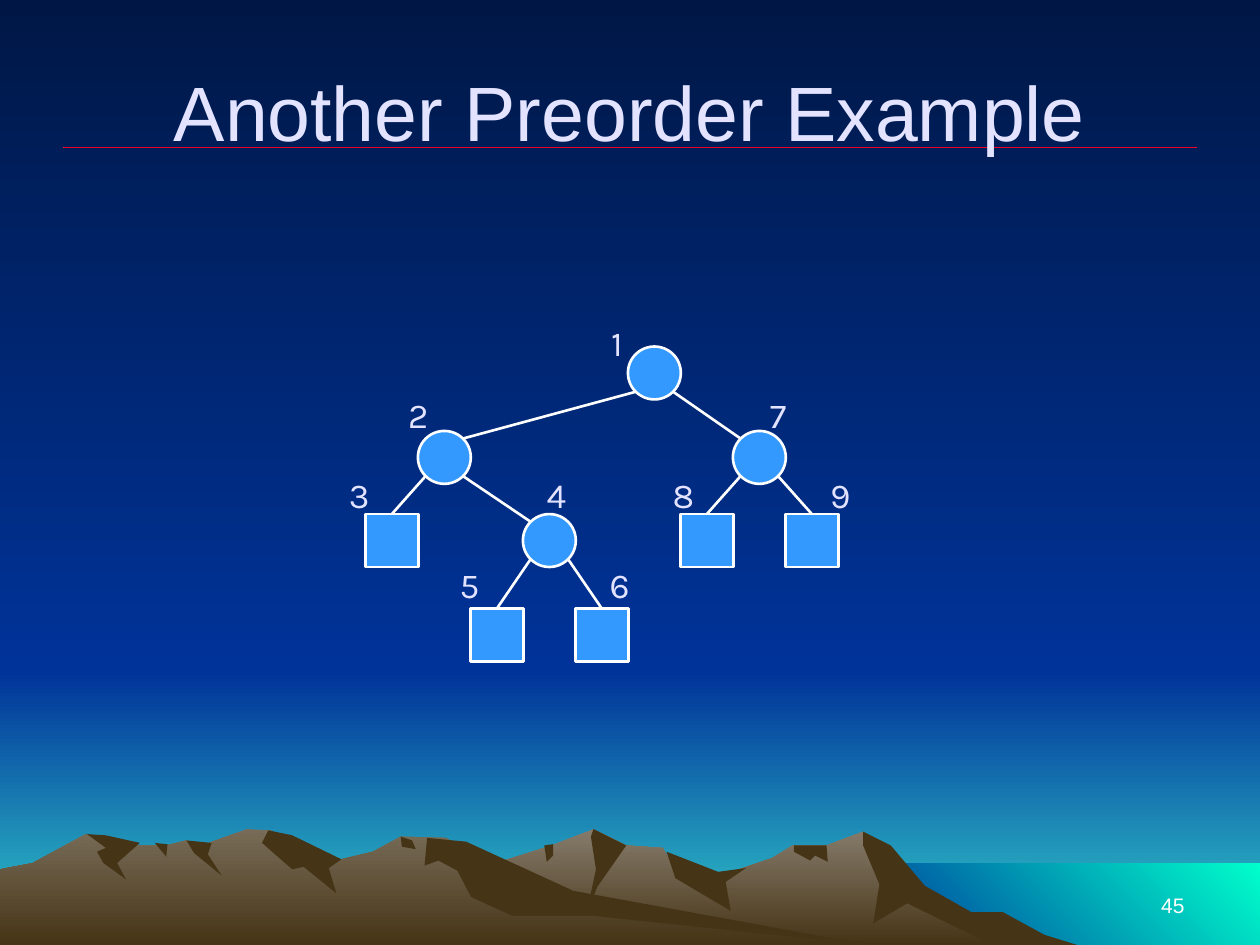
from lxml.etree import SubElement
from pptx import Presentation
from pptx.dml.color import RGBColor
from pptx.enum.shapes import MSO_CONNECTOR, MSO_SHAPE
from pptx.enum.text import MSO_ANCHOR, PP_ALIGN
from pptx.oxml.ns import qn
from pptx.util import Inches, Pt

NIGHT = RGBColor(0x00, 0x17, 0x46)
BLUE = RGBColor(0x00, 0x33, 0x99)
HORIZON = RGBColor(0x33, 0xCC, 0xCC)
AQUA = RGBColor(0x00, 0xFF, 0xCC)
BROWN = RGBColor(0x46, 0x34, 0x16)
FAR_ROCK = RGBColor(0x86, 0x7B, 0x6B)
NEAR_ROCK = RGBColor(0x78, 0x6C, 0x58)
RED = RGBColor(0xEF, 0x01, 0x29)
NODE_BLUE = RGBColor(0x33, 0x99, 0xFF)
WHITE = RGBColor(0xFF, 0xFF, 0xFF)
LAVENDER = RGBColor(0xE3, 0xE3, 0xFF)

TITLE = "Another Preorder Example"
PAGE_NUMBER = "45"
WIDTH, HEIGHT = 10, 7.5
SKYLINE, SHORE_LEFT, SHORE_TOP = 5.33, 6.83, 6.85
DOWN, UP_RIGHT = 270, 45

FAR_RIDGE = [
    (2.58, 7.5), (3.27, 7.09), (3.94, 6.85), (4.38, 6.71), (4.71, 6.58), (4.97, 6.71),
    (5.26, 6.73), (5.36, 6.9), (5.66, 6.97), (6.13, 6.81), (6.29, 6.71), (6.56, 6.71),
    (6.85, 6.6), (7.02, 6.71), (7.23, 6.98), (7.7, 7.24), (8.2, 7.5)]
FAR_SHADOWS = [
    [(6.85, 6.6), (7.07, 6.71), (7.34, 7.03), (7.71, 7.24), (7.96, 7.24), (8.29, 7.42),
     (8.55, 7.5), (7.88, 7.5), (7.2, 7.17), (6.93, 7.33), (6.98, 7.02), (6.85, 6.71)],
    [(4.71, 6.58), (4.97, 6.71), (4.74, 7.04), (4.65, 7.27), (4.73, 6.9), (4.69, 6.64)],
    [(5.29, 6.76), (5.7, 6.92), (5.92, 6.89), (5.76, 7), (5.8, 7.23), (5.36, 6.97)],
    [(6.3, 6.71), (6.56, 6.71), (6.57, 6.84), (6.47, 6.79), (6.43, 6.83), (6.3, 6.76)],
    [(4.32, 6.71), (4.39, 6.7), (4.39, 6.79), (4.34, 6.84)]]
NEAR_RIDGE = [
    (0, 7.5), (0, 6.9), (0.26, 6.85), (0.68, 6.62), (0.94, 6.71), (1.32, 6.71),
    (1.48, 6.67), (1.6, 6.71), (1.96, 6.58), (2.15, 6.59), (2.36, 6.81), (2.71, 6.82),
    (2.96, 6.76), (3.18, 6.64), (3.54, 6.65), (4.32, 7.12), (6.9, 7.5)]
NEAR_SHADOWS = [
    [(2.13, 6.59), (2.32, 6.63), (2.71, 6.82), (2.61, 6.89), (2.67, 7.09), (2.41, 6.88),
     (2.32, 6.9), (2.08, 6.69)],
    [(3.39, 6.65), (3.7, 6.68), (4.55, 7.07), (6.9, 7.5), (4.72, 7.27), (4.07, 7.27),
     (3.74, 7.12), (3.63, 6.91), (3.48, 6.83), (3.37, 6.87)],
    [(3.18, 6.64), (3.27, 6.67), (3.3, 6.74), (3.19, 6.72)],
    [(1.48, 6.67), (1.68, 6.69), (1.65, 6.78), (1.76, 6.95), (1.54, 6.77)],
    [(1.23, 6.69), (1.33, 6.7), (1.32, 6.8)],
    [(0.69, 6.62), (0.84, 6.63), (1.11, 6.69), (0.93, 6.85), (1, 6.98), (0.82, 6.85),
     (0.77, 6.76), (0.84, 6.73)]]

ROOT = "1"
CHILDREN = {"1": "27", "2": "34", "4": "56", "7": "89"}
LABEL_LEFTS = {"1": 4.72, "2": 3.14, "3": 2.67, "4": 4.24, "5": 3.55,
               "6": 4.74, "7": 6, "8": 5.24, "9": 6.49}
NODE_TOPS = [2.75, 3.42, 4.08, 4.83]
LABEL_TOPS = [2.5, 3.07, 3.71, 4.42]
FIRST_LEFT, COLUMN_STEP, NODE_SIZE = 2.9, 5 / 12, 0.42
REACH = 0.15


def rectangle(left, top, right, bottom):
    return [(left, top), (right, top), (right, bottom), (left, bottom)]


def paint_gradient(fill, start, end, angle):
    fill.gradient()
    fill.gradient_angle = angle
    for stop, color in zip(fill.gradient_stops, (start, end)):
        stop.color.rgb = color


def add_outline(page, points, start, end=None, angle=DOWN):
    hundredths = [(round(x * 100), round(y * 100)) for x, y in points]
    builder = page.shapes.build_freeform(*hundredths[0], scale=Inches(0.01))
    builder.add_line_segments(hundredths[1:], close=True)
    shape = builder.convert_to_shape()
    shape.shadow.inherit = False
    shape.line.fill.background()
    if end is None:
        shape.fill.solid()
        shape.fill.fore_color.rgb = start
    else:
        paint_gradient(shape.fill, start, end, angle)


def add_scenery(page):
    add_outline(page, rectangle(0, SKYLINE, WIDTH, HEIGHT), BLUE, HORIZON)
    add_outline(page, rectangle(0, 0, WIDTH, SKYLINE), NIGHT, BLUE)
    add_outline(page, rectangle(SHORE_LEFT, SHORE_TOP, WIDTH, HEIGHT), BLUE, AQUA, UP_RIGHT)
    for ridge, rock, shadows in ((FAR_RIDGE, FAR_ROCK, FAR_SHADOWS),
                                 (NEAR_RIDGE, NEAR_ROCK, NEAR_SHADOWS)):
        add_outline(page, ridge, rock, BROWN)
        for shadow in shadows:
            add_outline(page, shadow, BROWN)


def add_line(page, start, end, color, width):
    points = [Inches(value) for value in (*start, *end)]
    line = page.shapes.add_connector(MSO_CONNECTOR.STRAIGHT, *points)
    line.line.color.rgb = color
    line.line.width = Pt(width)
    SubElement(line._element.spPr, qn("a:effectLst"))
    return line


def write(box, text, font, size, color, align, anchor):
    frame = box.text_frame
    frame.vertical_anchor = anchor
    para = frame.paragraphs[0]
    para.alignment = align
    span = para.add_run()
    span.text = text
    span.font.name = font
    span.font.size = Pt(size)
    span.font.color.rgb = color


def add_text(page, place, wrap, *style):
    box = page.shapes.add_textbox(*[Inches(value) for value in place])
    box.text_frame.word_wrap = wrap
    write(box, *style)


def add_node(page, left, top, is_leaf):
    kind = MSO_SHAPE.RECTANGLE if is_leaf else MSO_SHAPE.OVAL
    node = page.shapes.add_shape(
        kind, Inches(left), Inches(top), Inches(NODE_SIZE), Inches(NODE_SIZE))
    node.shadow.inherit = False
    node.fill.solid()
    node.fill.fore_color.rgb = NODE_BLUE
    node.line.color.rgb = WHITE
    node.line.width = Pt(1.5)
    return node


def inorder(number, row=0):
    left, right = CHILDREN.get(number, (None, None))
    before = inorder(left, row + 1) if left else []
    after = inorder(right, row + 1) if right else []
    return before + [(number, row)] + after


def add_tree(page):
    centers, shapes = {}, {}
    for column, (number, row) in enumerate(inorder(ROOT)):
        left, top = FIRST_LEFT + column * COLUMN_STEP, NODE_TOPS[row]
        centers[number] = (left + NODE_SIZE / 2, top + NODE_SIZE / 2)
        shapes[number] = add_node(page, left, top, number not in CHILDREN)
        add_text(page, (LABEL_LEFTS[number], LABEL_TOPS[row], 0.35, 0.43), False,
                 number, "Karla", 20, LAVENDER, PP_ALIGN.CENTER, MSO_ANCHOR.TOP)
    for parent, children in CHILDREN.items():
        start_x, start_y = centers[parent]
        for child, side in zip(children, (-REACH, REACH)):
            end_x, end_y = centers[child]
            edge = add_line(page, (start_x + side, start_y + REACH),
                            (end_x - side, end_y - REACH), WHITE, 1.5)
            if child not in CHILDREN:
                edge.end_connect(shapes[child], 0)


def main():
    deck = Presentation()
    deck.slide_width, deck.slide_height = Inches(WIDTH), Inches(HEIGHT)
    page = deck.slides.add_slide(deck.slide_layouts[5])
    paint_gradient(page.background.fill, NIGHT, BLUE, DOWN)
    add_scenery(page)
    add_line(page, (0.5, 1.17), (9.5, 1.17), RED, 0.75)
    add_text(page, (7.17, 6.83, 2.33, 0.5), True,
             PAGE_NUMBER, "Arial", 12, WHITE, PP_ALIGN.RIGHT, MSO_ANCHOR.BOTTOM)
    title = page.shapes.title
    title.left, title.top = Inches(0.5), Inches(0.25)
    title.width, title.height = Inches(9), Inches(1.25)
    write(title, TITLE, "Arial", 44, LAVENDER, PP_ALIGN.CENTER, MSO_ANCHOR.MIDDLE)
    page.shapes._spTree.append(title._element)
    add_tree(page)
    deck.save("out.pptx")


if __name__ == "__main__":
    main()
